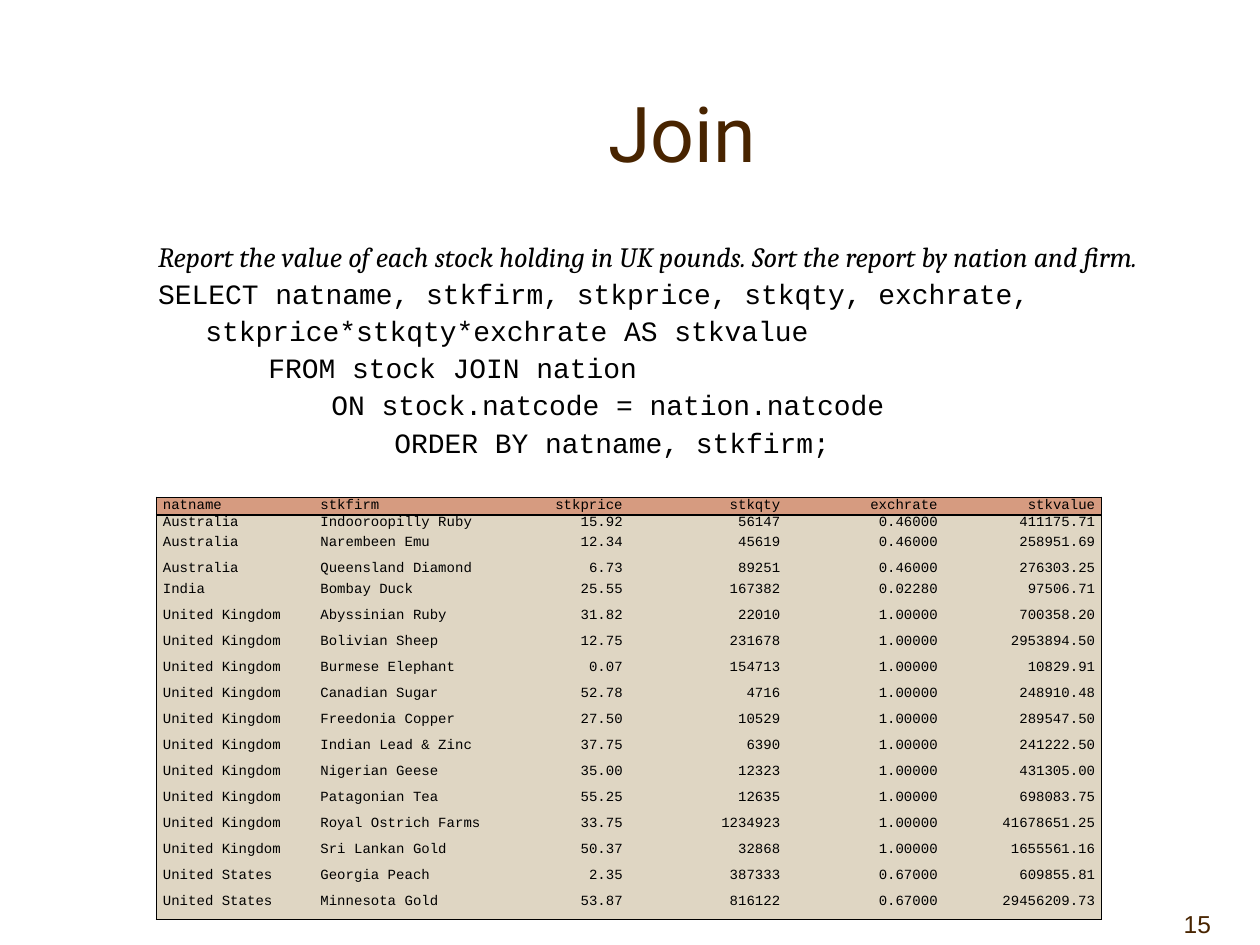
"""Build the slide on joining the stock and nation tables."""
from lxml import etree
from pptx import Presentation
from pptx import util as u
from pptx.dml.color import RGBColor
from pptx.enum import text
from pptx.oxml import ns

BROWN = RGBColor(0x48, 0x24, 0x00)
BLACK = RGBColor(0x00, 0x00, 0x00)
HEADER_FILL = RGBColor(0xD6, 0x9B, 0x80)
BODY_FILL = RGBColor(0xDF, 0xD6, 0xC3)

QUERY = [
    "Report the value of each stock holding in UK pounds. Sort the report by nation and firm.",
    "SELECT natname, stkfirm, stkprice, stkqty, exchrate,",
    "\tstkprice*stkqty*exchrate AS stkvalue",
    "\t\tFROM stock JOIN nation",
    "\t\t\tON stock.natcode = nation.natcode",
    "\t\t\t\tORDER BY natname, stkfirm;",
]
HOLDINGS = [
    ("natname", "stkfirm", "stkprice", "stkqty", "exchrate", "stkvalue"),
    ("Australia", "Indooroopilly Ruby", "15.92", "56147", "0.46000", "411175.71"),
    ("Australia", "Narembeen Emu", "12.34", "45619", "0.46000", "258951.69"),
    ("Australia", "Queensland Diamond", "6.73", "89251", "0.46000", "276303.25"),
    ("India", "Bombay Duck", "25.55", "167382", "0.02280", "97506.71"),
    ("United Kingdom", "Abyssinian Ruby", "31.82", "22010", "1.00000", "700358.20"),
    ("United Kingdom", "Bolivian Sheep", "12.75", "231678", "1.00000", "2953894.50"),
    ("United Kingdom", "Burmese Elephant", "0.07", "154713", "1.00000", "10829.91"),
    ("United Kingdom", "Canadian Sugar", "52.78", "4716", "1.00000", "248910.48"),
    ("United Kingdom", "Freedonia Copper", "27.50", "10529", "1.00000", "289547.50"),
    ("United Kingdom", "Indian Lead & Zinc", "37.75", "6390", "1.00000", "241222.50"),
    ("United Kingdom", "Nigerian Geese", "35.00", "12323", "1.00000", "431305.00"),
    ("United Kingdom", "Patagonian Tea", "55.25", "12635", "1.00000", "698083.75"),
    ("United Kingdom", "Royal Ostrich Farms", "33.75", "1234923", "1.00000", "41678651.25"),
    ("United Kingdom", "Sri Lankan Gold", "50.37", "32868", "1.00000", "1655561.16"),
    ("United States", "Georgia Peach", "2.35", "387333", "0.67000", "609855.81"),
    ("United States", "Minnesota Gold", "53.87", "816122", "0.67000", "29456209.73"),
]
COLUMN_WIDTHS = [90, 108, 72, 90, 90, 90]
ROW_HEIGHTS = [10, 11.5, 15, 12] + [14.85] * 13


def add_text(page, place, lines, font, size, colour, align, anchor):
    box = page.shapes.add_textbox(*(u.Pt(length) for length in place))
    frame = box.text_frame
    frame.word_wrap = True
    frame.vertical_anchor = anchor
    frame.text = "\n".join(lines)
    for para in frame.paragraphs:
        para.alignment = align
        for span in para.runs:
            span.font.name = font
            span.font.size = u.Pt(size)
            span.font.color.rgb = colour
    return frame


def set_borders(cell, sides):
    properties = cell._tc.get_or_add_tcPr()
    for position, side in enumerate("LRTB"):
        line = etree.Element(ns.qn(f"a:ln{side}"), w=str(u.Pt(1)))
        if side in sides:
            fill = etree.SubElement(line, ns.qn("a:solidFill"))
            etree.SubElement(fill, ns.qn("a:srgbClr"), val=str(BLACK))
        else:
            etree.SubElement(line, ns.qn("a:noFill"))
        properties.insert(position, line)


deck = Presentation()
deck.slide_width, deck.slide_height = u.Pt(720), u.Pt(540)
page = deck.slides.add_slide(deck.slide_layouts[6])

number = add_text(page, (648.7, 504, 71.3, 36), ["15"], "Arial", 14, BROWN,
                  text.PP_ALIGN.RIGHT, text.MSO_ANCHOR.BOTTOM)
number.margin_right = u.Pt(28)

add_text(page, (84, 30, 612, 90), ["Join"], "Roboto", 44, BROWN,
         text.PP_ALIGN.CENTER, text.MSO_ANCHOR.MIDDLE)

query = add_text(page, (83.3, 135.3, 612, 169), QUERY, "Courier New", 16, BLACK,
                 text.PP_ALIGN.LEFT, text.MSO_ANCHOR.TOP)
for para in query.paragraphs:
    para.line_spacing = 0.9
    indent = para._p.get_or_add_pPr()
    indent.set("marL", str(u.Pt(27)))
    indent.set("indent", str(u.Pt(-27)))
for para in query.paragraphs[1:]:
    para.space_before = u.Pt(4)
request = query.paragraphs[0].runs[0].font
request.name = "Cambria"
request.italic = True

table = page.shapes.add_table(len(HOLDINGS), len(COLUMN_WIDTHS), u.Pt(89.5), u.Pt(284.2),
                              u.Pt(sum(COLUMN_WIDTHS)), u.Pt(sum(ROW_HEIGHTS))).table
table.first_row = table.horz_banding = False
for column, width in zip(table.columns, COLUMN_WIDTHS):
    column.width = u.Pt(width)
last_row, last_column = len(HOLDINGS) - 1, len(COLUMN_WIDTHS) - 1

for r, holding in enumerate(HOLDINGS):
    table.rows[r].height = u.Pt(ROW_HEIGHTS[r])
    row_sides = ("T" if r <= 1 else "") + ("B" if r in (0, last_row) else "")
    for c, value in enumerate(holding):
        cell = table.cell(r, c)
        cell.margin_left = cell.margin_right = u.Pt(3.6)
        cell.margin_top = cell.margin_bottom = 0
        cell.fill.solid()
        cell.fill.fore_color.rgb = BODY_FILL if r else HEADER_FILL
        set_borders(cell, row_sides + {0: "L", last_column: "R"}.get(c, ""))
        para = cell.text_frame.paragraphs[0]
        para.text = value
        para.alignment = text.PP_ALIGN.RIGHT if c >= 2 else text.PP_ALIGN.LEFT
        font = para.runs[0].font
        font.name = "Courier New"
        font.size = u.Pt(8)
        font.color.rgb = BLACK

deck.save("out.pptx")
